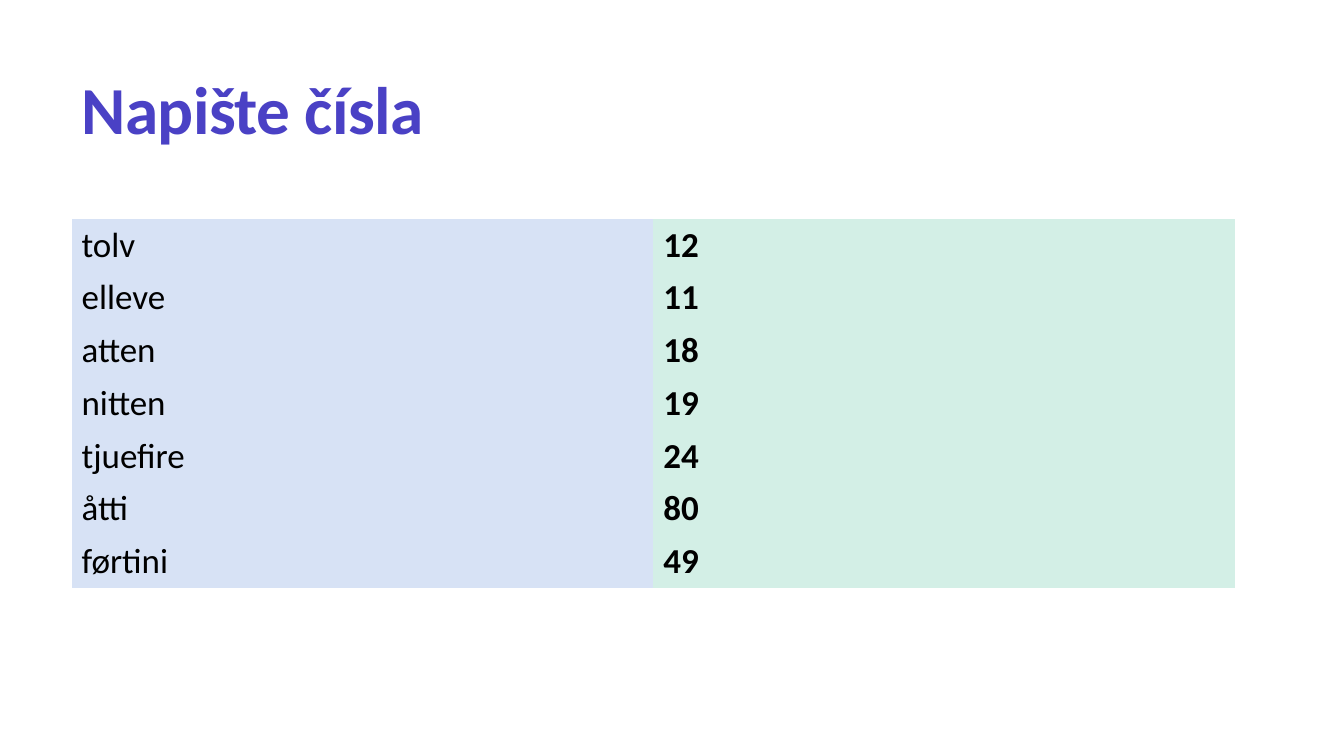
from dataclasses import dataclass

from pptx import Presentation
from pptx.dml.color import RGBColor
from pptx.enum.text import MSO_ANCHOR as Anchor, MSO_AUTO_SIZE as AutoSize, PP_ALIGN as Align
from pptx.oxml.ns import qn
from pptx.slide import Slide
from pptx.util import Emu, Pt

EMU_PER_PX = 9144  # 100 px to the inch
NO_STYLE_NO_GRID = "{2D5ABB26-0587-4C30-8999-92F81FD0307C}"


@dataclass(frozen=True)
class Theme:
    font: str = "Calibri"
    title_size: int = 48
    title_spacing: int = -40  # hundredths of a point
    cell_size: int = 25
    title: str = "4A41C5"
    text: str = "000000"
    word_fill: str = "D7E2F5"
    number_fill: str = "D3EFE6"


@dataclass(frozen=True)
class Box:
    left: int
    top: int
    width: int
    height: int

    def emu(self) -> tuple[Emu, ...]:
        return tuple(px(v) for v in (self.left, self.top, self.width, self.height))


@dataclass(frozen=True)
class Numeral:
    word: str
    number: int


THEME = Theme()
ROW_HEIGHT = 52
NUMERALS = [
    Numeral("tolv", 12),
    Numeral("elleve", 11),
    Numeral("atten", 18),
    Numeral("nitten", 19),
    Numeral("tjuefire", 24),
    Numeral("åtti", 80),
    Numeral("førtini", 49),
]


def px(value: int) -> Emu:
    return Emu(value * EMU_PER_PX)


def style_font(paragraph, size: int, color: str, bold: bool) -> None:
    font = paragraph.font
    font.name = THEME.font
    font.size = Pt(size)
    font.bold = bold
    font.color.rgb = RGBColor.from_string(color)


def add_title(slide: Slide, text: str, box: Box) -> None:
    heading = slide.shapes.title
    heading.left, heading.top, heading.width, heading.height = box.emu()
    frame = heading.text_frame
    frame.text = text
    frame.word_wrap = True
    frame.auto_size = AutoSize.NONE
    frame.vertical_anchor = Anchor.BOTTOM
    line = frame.paragraphs[0]
    line.alignment = Align.LEFT
    line.line_spacing = 0.9
    style_font(line, THEME.title_size, THEME.title, bold=True)
    line.runs[0]._r.get_or_add_rPr().set("spc", str(THEME.title_spacing))


def fill_cell(cell, text: str, fill: str, bold: bool) -> None:
    cell.text = text
    cell.fill.solid()
    cell.fill.fore_color.rgb = RGBColor.from_string(fill)
    style_font(cell.text_frame.paragraphs[0], THEME.cell_size, THEME.text, bold)


def add_numerals(slide: Slide, numerals: list[Numeral], box: Box) -> None:
    table = slide.shapes.add_table(len(numerals), 2, *box.emu()).table
    table.first_row = table.horz_banding = False
    table._tbl.tblPr.find(qn("a:tableStyleId")).text = NO_STYLE_NO_GRID
    for row, numeral in enumerate(numerals):
        fill_cell(table.cell(row, 0), numeral.word, THEME.word_fill, bold=False)
        fill_cell(table.cell(row, 1), str(numeral.number), THEME.number_fill, bold=True)


def main() -> None:
    deck = Presentation()
    deck.slide_width, deck.slide_height = px(1333), px(750)
    slide = deck.slides.add_slide(deck.slide_layouts[5])  # title only

    # Heading
    add_title(slide, "Napište čísla", Box(71, 40, 1154, 113))

    # Norwegian words and their numbers
    add_numerals(slide, NUMERALS, Box(71, 217, 1154, ROW_HEIGHT * len(NUMERALS)))

    deck.save("out.pptx")


if __name__ == "__main__":
    main()
